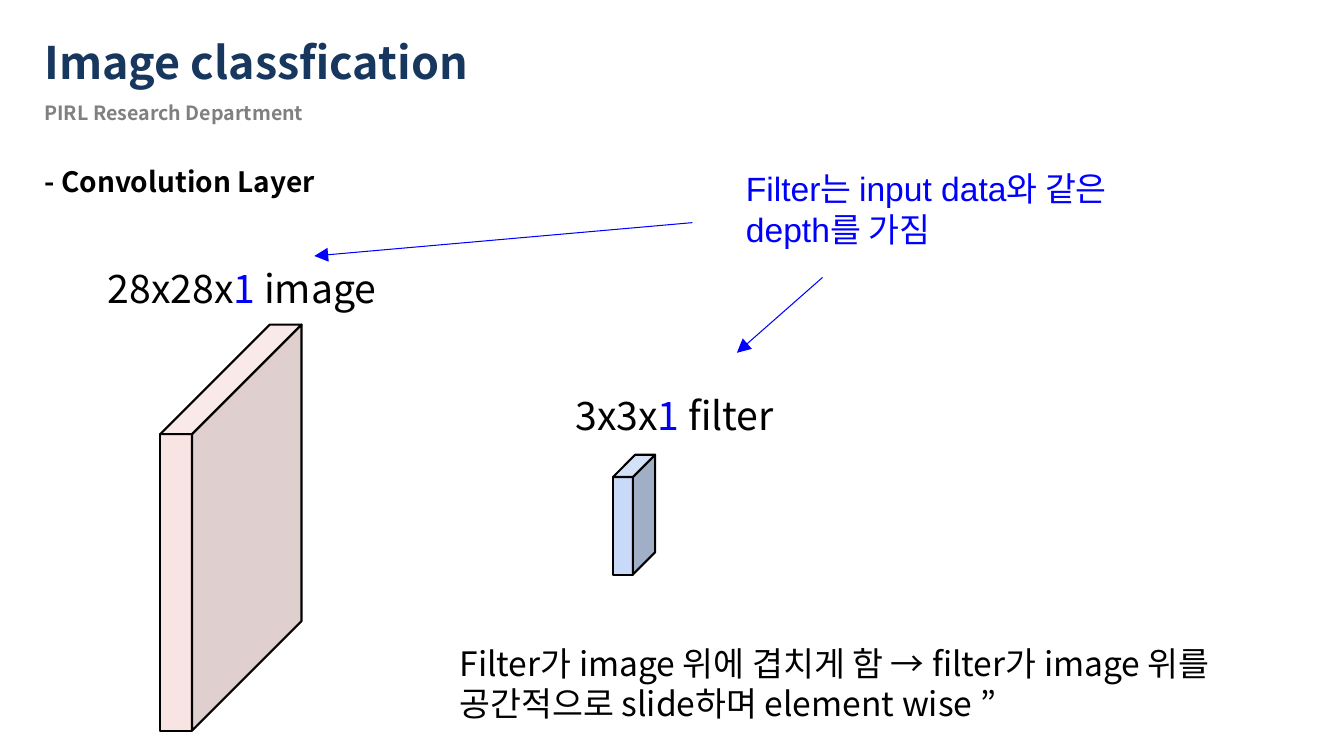
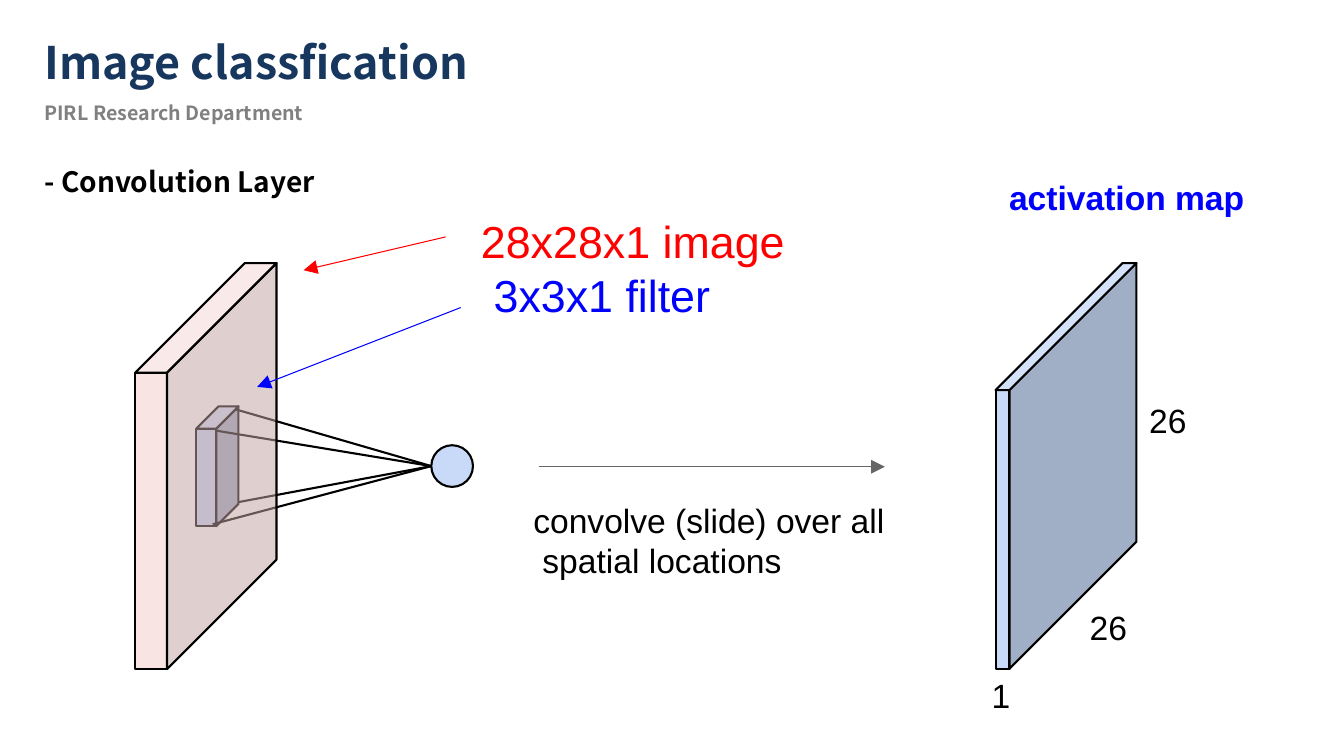
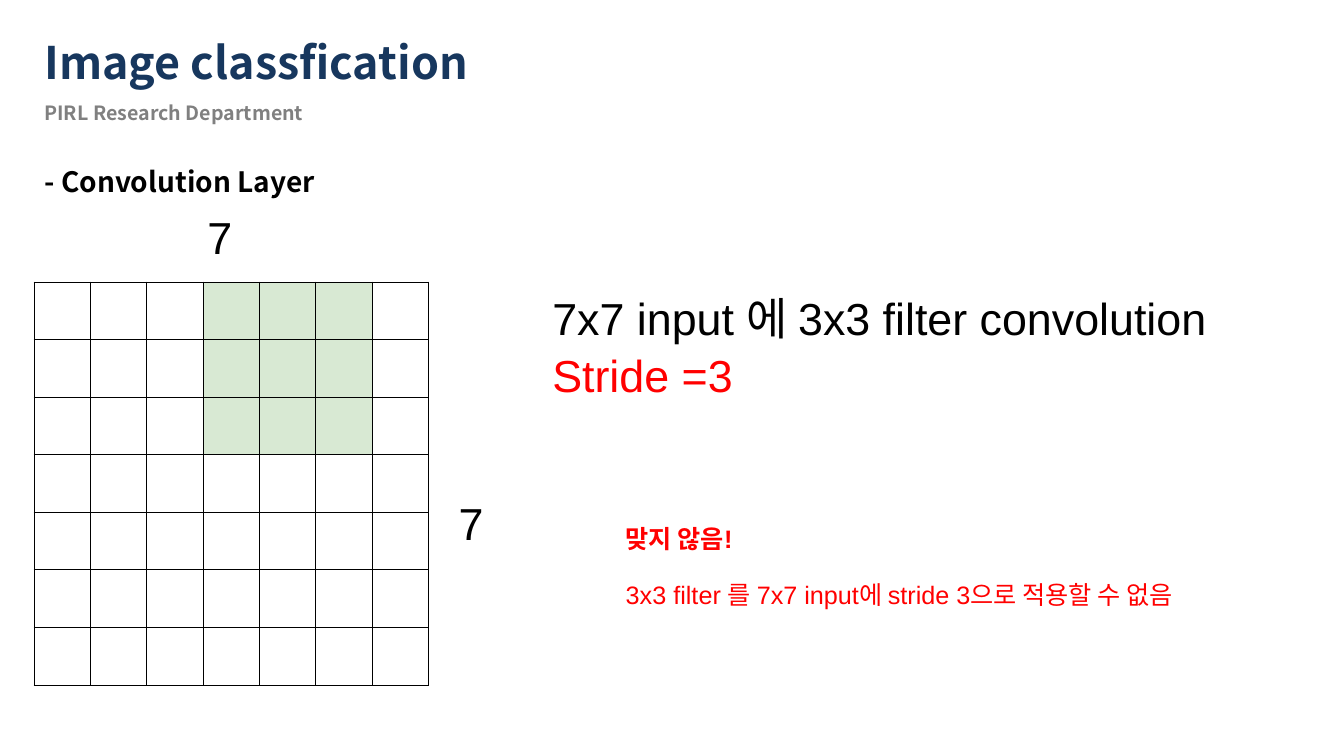
import pptx
import pptx.dml.color
import pptx.enum.shapes
import pptx.enum.text
import pptx.oxml
import pptx.oxml.ns
import pptx.util
from lxml import etree

Cm = pptx.util.Cm
Pt = pptx.util.Pt

SANS, KOREAN = "Arial", "Noto Sans CJK KR"
BLACK, BLUE, RED, GREY, WHITE = "000000", "0000FF", "FF0000", "666666", "FFFFFF"
GREEN = "D8E9D3"
PINK_FACES = ("F4CCCC", "C3A3A3", "F6D6D6")
BLUE_FACES = ("C8DAF7", "A0AEC6", "D3E1F9")

HEADER = [
    ((1.12, 0.74, 15.5, 1.5), "Image classfication", 32, "17375E"),
    ((1.12, 2.41, 15, 0.8), "PIRL Research Department", 14, "808080"),
    ((1.12, 4.01, 20, 1.1), "- Convolution Layer", 20, BLACK),
]

IMAGE = dict(thick=0.8, depth=2.76, height=7.47, faces=PINK_FACES, opacity=52)
FILTER = dict(thick=0.5, depth=0.56, height=2.46, faces=BLUE_FACES)
ACTIVATION = dict(thick=0.35, depth=3.2, height=7.02, faces=BLUE_FACES)

SLIDES = [
    dict(
        slabs=[((4.04, 8.18), IMAGE), ((15.45, 11.46), FILTER)],
        arrows=[((20.73, 6.99), (18.57, 8.89), BLUE),
                ((17.45, 5.61), (7.92, 6.45), BLUE)],
        texts=[
            ((2.72, 6.65, 9, 1.5),
             [[("28x28x", BLACK), ("1 ", BLUE), ("image", BLACK)]],
             dict(size=28, font=KOREAN)),
            ((12.5, 9.85, 9, 1.5),
             [[("3x3x", BLACK), ("1 ", BLUE), ("filter", BLACK)]],
             dict(size=28, font=KOREAN, center=True)),
            ((18.8, 4.24, 10.65, 2.1),
             ["Filter는 input data와 같은 depth를 가짐"], dict(color=BLUE)),
            ((11.58, 16.2, 19.86, 2.3),
             ["Filter가 image 위에 겹치게 함 → filter가 image 위를 "
              "공간적으로 slide하며 element wise ”"], dict(font=KOREAN)),
        ],
    ),
    dict(
        slabs=[((4.95, 10.24), FILTER)],
        neuron=(10.87, 11.22, 1.05),
        rays=[(5.36, 13.21), (5.44, 10.85), (5.92, 10.31), (6.02, 12.65)],
        front_slabs=[((3.41, 6.63), IMAGE), ((25.09, 6.63), ACTIVATION)],
        arrows=[((11.23, 5.97), (7.65, 6.81), RED),
                ((11.61, 7.75), (6.48, 9.75), BLUE),
                ((13.59, 11.76), (22.3, 11.76), GREY)],
        texts=[
            ((12.12, 5.41, 9, 2.8),
             [[("28x28x1 image", RED)], [("3x3x1 filter", BLUE)]],
             dict(size=32, line=38, indents=(0, 0.32))),
            ((13.44, 12.6, 9.5, 2.1),
             ["convolve (slide) over all", "spatial locations"],
             dict(indents=(0, 0.23))),
            ((25.43, 4.46, 6.5, 1.05), ["activation map"],
             dict(color=BLUE, bold=True)),
            ((24.99, 17, 0.8, 1), ["1"], {}),
            ((27.46, 15.3, 1.2, 1), ["26"], {}),
            ((28.96, 10.08, 1.2, 1), ["26"], {}),
        ],
    ),
    dict(
        grid=dict(left=0.86, top=7.11, count=7, width=1.42, height=1.45,
                  marked_rows=range(0, 3), marked_cols=range(3, 6)),
        texts=[
            ((5.23, 5.28, 0.9, 1.4), ["7"], dict(size=32)),
            ((11.56, 12.48, 0.9, 1.4), ["7"], dict(size=32)),
            ((13.92, 7.34, 18.5, 3),
             [[("7x7 input 에 3x3 filter convolution", BLACK)],
              [("Stride =3", RED)]], dict(size=32, line=38, before=2.9)),
            ((15.77, 12.62, 16.5, 2.8),
             [[("맞지 않음!", RED, True)],
              [("3x3 filter 를 7x7 input에 stride 3으로 적용할 수 없음", RED)]],
             dict(size=18, line=38, before=1.4)),
        ],
    ),
]


def rgb(value):
    return pptx.dml.color.RGBColor.from_string(value)


def sub(parent, tag, **attrs):
    return etree.SubElement(parent, pptx.oxml.ns.qn(tag), **attrs)


def add_text(s, box, paragraphs, size=24, font=SANS, color=BLACK, bold=False,
             center=False, line=None, before=0, indents=(), inset=(0, 0)):
    tf = s.shapes.add_textbox(*map(Cm, box)).text_frame
    tf.word_wrap = True
    tf.margin_left = tf.margin_right = Cm(inset[0])
    tf.margin_top = tf.margin_bottom = Cm(inset[1])
    for i, runs in enumerate(paragraphs):
        p = tf.add_paragraph() if i else tf.paragraphs[0]
        if center:
            p.alignment = pptx.enum.text.PP_ALIGN.CENTER
        if line:
            p.line_spacing = Pt(line)
        if i and before:
            p.space_before = Pt(before)
        if indents and indents[i]:
            p._p.get_or_add_pPr().set("marL", str(Cm(indents[i])))
        if isinstance(runs, str):
            runs = [(runs, color, bold)]
        for text, run_color, *run_bold in runs:
            r = p.add_run()
            r.text = text
            r.font.size = Pt(size)
            r.font.name = font
            r.font.bold = run_bold[0] if run_bold else bold
            r.font.color.rgb = rgb(run_color)
            sub(r._r.get_or_add_rPr(), "a:ea", typeface=KOREAN)


def style_shape(sp, fill, opacity=100):
    sp.shadow.inherit = False
    sp.fill.solid()
    sp.fill.fore_color.rgb = rgb(fill)
    if opacity < 100:
        clr = sp._element.spPr.find(".//" + pptx.oxml.ns.qn("a:srgbClr"))
        sub(clr, "a:alpha", val=str(opacity * 1000))
    sp.line.color.rgb = rgb(BLACK)
    sp.line.width = Pt(1.5)


def add_slab(s, corner, thick, depth, height, faces, opacity=100):
    x, y = corner
    left, mid, right = x, x + thick, x + thick + depth
    top, bottom = y + depth, y + depth + height
    outlines = [
        [(left, top), (mid, top), (mid, bottom), (left, bottom)],
        [(mid, bottom), (mid, top), (right, y), (right, y + height)],
        [(mid, top), (left, top), (left + depth, y), (right, y)],
    ]
    for outline, fill in zip(outlines, faces):
        points = [(Cm(px), Cm(py)) for px, py in outline]
        builder = s.shapes.build_freeform(*points[0])
        builder.add_line_segments(points[1:], close=True)
        style_shape(builder.convert_to_shape(), fill, opacity)


def add_line(s, start, end, color=BLACK, width=1.5, arrow=False):
    line = s.shapes.add_connector(pptx.enum.shapes.MSO_CONNECTOR.STRAIGHT,
                                  *map(Cm, start + end))
    line.line.color.rgb = rgb(color)
    line.line.width = Pt(width)
    if arrow:
        sub(line.line._get_or_add_ln(), "a:tailEnd",
            type="triangle", w="lg", len="lg")
    sub(line._element.spPr, "a:effectLst")


def add_neuron(s, x, y, diameter, rays):
    sp = s.shapes.add_shape(pptx.enum.shapes.MSO_SHAPE.OVAL,
                            Cm(x), Cm(y), Cm(diameter), Cm(diameter))
    style_shape(sp, BLUE_FACES[0])
    for start in rays:
        add_line(s, start, (x, y + diameter / 2))


def add_grid(s, left, top, count, width, height, marked_rows, marked_cols):
    table = s.shapes.add_table(count, count, Cm(left), Cm(top),
                               Cm(width * count), Cm(height * count)).table
    table.first_row = table.horz_banding = False
    for i in range(count):
        table.columns[i].width = Cm(width)
        table.rows[i].height = Cm(height)
        for j in range(count):
            cell = table.cell(i, j)
            tcPr = cell._tc.get_or_add_tcPr()
            for side in "LRTB":
                ln = sub(tcPr, "a:ln" + side, w=str(Pt(0.75)))
                sub(sub(ln, "a:solidFill"), "a:srgbClr", val=BLACK)
            marked = i in marked_rows and j in marked_cols
            cell.fill.solid()
            cell.fill.fore_color.rgb = rgb(GREEN if marked else WHITE)


def main():
    prs = pptx.Presentation()
    prs.slide_width, prs.slide_height = Cm(33.87), Cm(19.05)
    for content in SLIDES:
        s = prs.slides.add_slide(prs.slide_layouts[6])
        for corner, slab in content.get("slabs", []):
            add_slab(s, corner, **slab)
        if "neuron" in content:
            add_neuron(s, *content["neuron"], content["rays"])
        for corner, slab in content.get("front_slabs", []):
            add_slab(s, corner, **slab)
        if "grid" in content:
            add_grid(s, **content["grid"])
        for start, end, color in content.get("arrows", []):
            add_line(s, start, end, color, 0.75, arrow=True)
        for box, paragraphs, fmt in content["texts"]:
            add_text(s, box, paragraphs, **fmt)
        for box, text, size, color in HEADER:
            add_text(s, box=(box[0] - 0.25, *box[1:]), paragraphs=[text],
                     size=size, font=KOREAN, color=color, bold=True,
                     inset=(0.25, 0.13))
    prs.save("out.pptx")


if __name__ == "__main__":
    main()
